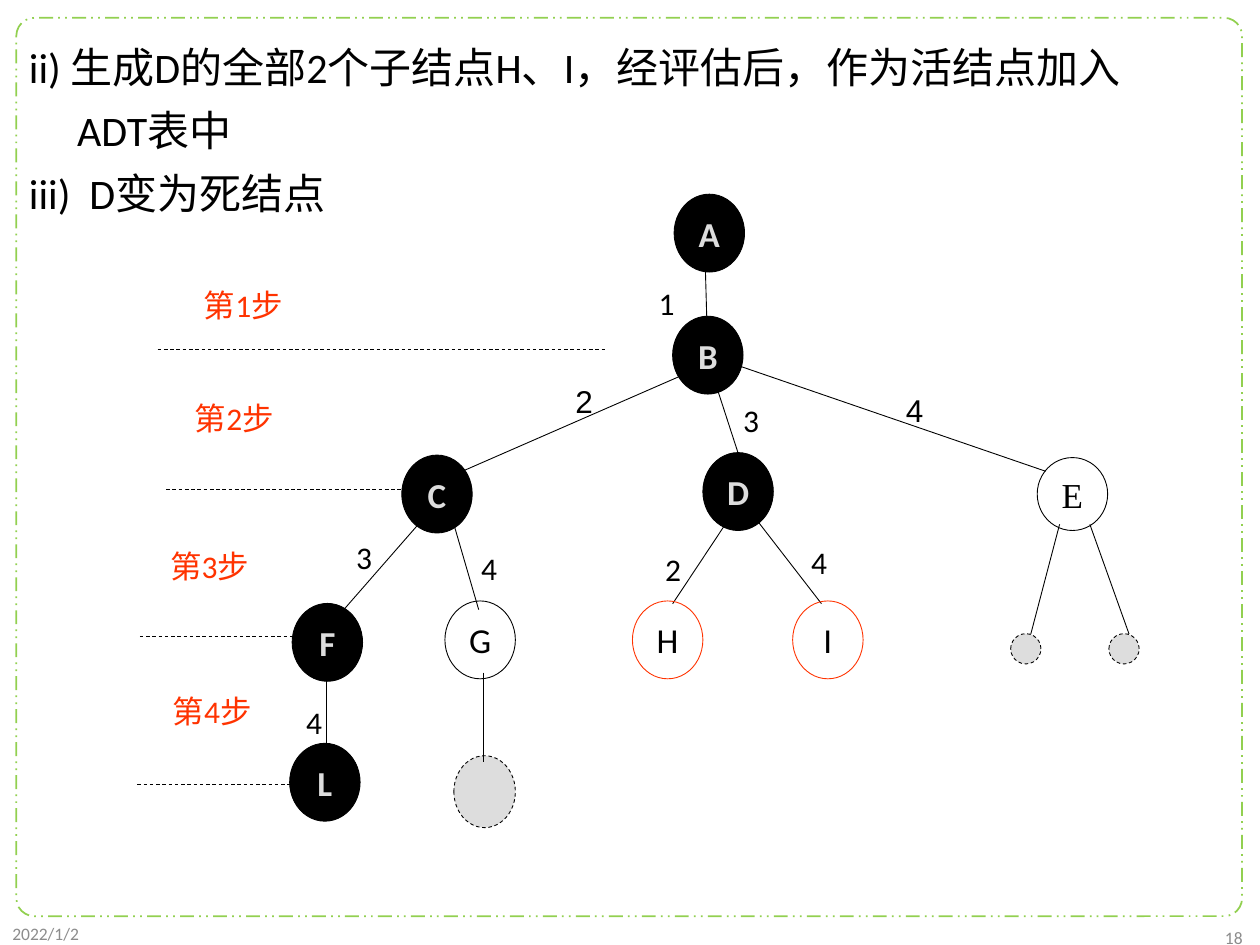
from lxml import etree
from pptx import Presentation
from pptx.dml.color import RGBColor
from pptx.enum.dml import MSO_LINE
from pptx.enum.shapes import MSO_CONNECTOR, MSO_SHAPE
from pptx.enum.text import MSO_ANCHOR, MSO_AUTO_SIZE, PP_ALIGN
from pptx.oxml.ns import qn
from pptx.util import Cm, Pt

OVAL, ROUNDED = MSO_SHAPE.OVAL, MSO_SHAPE.ROUNDED_RECTANGLE
STRAIGHT = MSO_CONNECTOR.STRAIGHT
DASH, DASH_DOT_DOT = MSO_LINE.DASH, MSO_LINE.DASH_DOT_DOT
NO_AUTOFIT = MSO_AUTO_SIZE.NONE
TOP, MIDDLE = MSO_ANCHOR.TOP, MSO_ANCHOR.MIDDLE
LEFT, CENTER, RIGHT = PP_ALIGN.LEFT, PP_ALIGN.CENTER, PP_ALIGN.RIGHT
BLACK, GREY, RED, GREEN, FOOTER = "000000", "DDDDDD", "FF3300", "92D050", "8C8C8C"


def write(paragraph, text, size=18, color=BLACK, font="Calibri", bold=False, align=LEFT):
    paragraph.text = text
    paragraph.alignment = align
    paragraph.font.size = Pt(size)
    paragraph.font.name = font
    paragraph.font.bold = bold
    paragraph.font.color.rgb = RGBColor.from_string(color)


def style(shape, line, fill=None, width=0.5, dash=None):
    """Set outline and fill, and drop the theme shadow of a shape or connector."""
    shape.line.color.rgb = RGBColor.from_string(line)
    shape.line.width = Pt(width)
    if dash:
        shape.line.dash_style = dash
    if not hasattr(shape, "fill"):
        etree.SubElement(shape._element.spPr, qn("a:effectLst"))
        return
    shape.shadow.inherit = False
    if fill:
        shape.fill.solid()
        shape.fill.fore_color.rgb = RGBColor.from_string(fill)
    else:
        shape.fill.background()


prs = Presentation()
prs.slide_width, prs.slide_height = Cm(25.4), Cm(19.05)
slide = prs.slides.add_slide(prs.slide_layouts[1])
shapes = slide.shapes
title = shapes.title._element
title.getparent().remove(title)

frame = shapes.add_shape(ROUNDED, Cm(0.33), Cm(0.36), Cm(24.71), Cm(18.11))
frame.adjustments[0] = 0.02
style(frame, GREEN, width=1, dash=DASH_DOT_DOT)

# Explanation: text, left margin and first-line indent in cm
explanation = [
    ("ii) 生成D的全部2个子结点H、I，经评估后，作为活结点加入", 0.64, -0.64),
    ("ADT表中", 0.97, 0),
    ("iii)\tD变为死结点", 1.22, -1.22),
]
body = slide.placeholders[1]
body.left, body.top, body.width, body.height = Cm(0.33), Cm(0.46), Cm(24.71), Cm(17.98)
body.text_frame.auto_size = NO_AUTOFIT
body.text_frame.vertical_anchor = TOP
for i, (text, margin, indent) in enumerate(explanation):
    paragraph = body.text_frame.paragraphs[0] if i == 0 else body.text_frame.add_paragraph()
    properties = paragraph._p.get_or_add_pPr()
    properties.set("marL", str(Cm(margin)))
    properties.set("indent", str(Cm(indent)))
    etree.SubElement(properties, qn("a:buNone"))
    paragraph.line_spacing = 1.25
    paragraph.space_before = Pt(0)
    write(paragraph, text, size=24)

# Ungenerated nodes: centre x, centre y, width, height
for x, y, w, h in [(9.77, 15.96, 1.24, 1.45), (20.68, 13.08, 0.61, 0.61), (22.66, 13.08, 0.61, 0.61)]:
    stub = shapes.add_shape(OVAL, Cm(x - w / 2), Cm(y - h / 2), Cm(w), Cm(h))
    style(stub, BLACK, GREY, dash=DASH)

# Tree edges: x1, y1, x2, y2; step levels: start, end, y
tree_edges = [
    (14.22, 5.44, 14.25, 6.5),
    (13.74, 7.57, 9.32, 9.5),
    (14.43, 7.75, 14.94, 9.32),
    (14.94, 7.39, 21.08, 9.5),
    (8.46, 10.54, 6.93, 12.29),
    (9.14, 10.54, 9.65, 12.29),
    (14.76, 10.36, 13.56, 12.17),
    (15.16, 10.36, 16.56, 12.17),
    (21.36, 10.57, 20.78, 12.78),
    (21.97, 10.57, 22.76, 12.78),
    (6.58, 13.54, 6.58, 15.65),
    (9.75, 13.56, 9.75, 15.37),
]
step_levels = [(3.18, 12.22, 7.04), (3.35, 8.13, 9.86), (2.82, 5.92, 12.83), (2.77, 5.84, 15.82)]
lines = [(*edge, None) for edge in tree_edges]
lines += [(start, y, end, y, DASH) for start, end, y in step_levels]
for x1, y1, x2, y2, dash in lines:
    connector = shapes.add_connector(STRAIGHT, Cm(x1), Cm(y1), Cm(x2), Cm(y2))
    style(connector, BLACK, dash=dash)

# Nodes: name, centre x, centre y, height, fill, outline, font
nodes = [
    ("A", 14.3, 4.7, 1.57, BLACK, BLACK, "Calibri"),
    ("B", 14.27, 7.16, 1.57, BLACK, BLACK, "Calibri"),
    ("C", 8.81, 9.96, 1.57, BLACK, BLACK, "Calibri"),
    ("D", 14.88, 9.91, 1.57, BLACK, BLACK, "Calibri"),
    ("E", 21.62, 9.96, 1.47, None, BLACK, "Times New Roman"),
    ("F", 6.6, 12.95, 1.57, BLACK, BLACK, "Calibri"),
    ("G", 9.68, 12.9, 1.57, None, BLACK, "Calibri"),
    ("H", 13.46, 12.9, 1.57, None, RED, "Calibri"),
    ("I", 16.69, 12.9, 1.57, None, RED, "Calibri"),
    ("L", 6.55, 15.77, 1.57, BLACK, BLACK, "Calibri"),
]
node_width = 1.42
for name, x, y, height, fill, outline, font in nodes:
    node = shapes.add_shape(OVAL, Cm(x - node_width / 2), Cm(y - height / 2), Cm(node_width), Cm(height))
    style(node, outline, fill)
    label = node.text_frame
    label.margin_left = label.margin_right = 0
    label.vertical_anchor = MIDDLE
    write(label.paragraphs[0], name, size=20, color=GREY if fill else BLACK,
          font=font, bold=bool(fill), align=CENTER)

# Captions: text, left, top, width, height, anchor, format
edge_labels = [
    ("1", 13.03, 5.61, "Calibri"), ("2", 11.35, 7.57, "Arial"), ("3", 14.73, 7.95, "Calibri"),
    ("4", 18.01, 7.75, "Arial"), ("3", 6.93, 10.72, "Calibri"), ("4", 9.45, 10.95, "Calibri"),
    ("2", 13.16, 10.97, "Calibri"), ("4", 16.1, 10.82, "Calibri"), ("4", 5.92, 14.05, "Calibri"),
]
step_labels = [(3.86, 5.64), (3.68, 7.92), (3.18, 10.9), (3.23, 13.82)]
captions = [(text, x, y, 0.86, 1.02, TOP, {"font": font}) for text, x, y, font in edge_labels]
captions += [(f"第{i}步", x, y, 2.13, 1.02, TOP, {"color": RED})
             for i, (x, y) in enumerate(step_labels, 1)]
captions += [
    ("2022/1/2", 0, 18.44, 5.72, 0.74, MIDDLE, {"size": 10, "color": FOOTER}),
    ("18", 19.58, 18.57, 5.72, 0.66, MIDDLE, {"size": 10, "color": FOOTER, "align": RIGHT}),
]
for text, x, y, w, h, anchor, text_format in captions:
    caption = shapes.add_textbox(Cm(x), Cm(y), Cm(w), Cm(h)).text_frame
    caption.word_wrap = True
    caption.vertical_anchor = anchor
    write(caption.paragraphs[0], text, **text_format)

prs.save("out.pptx")
